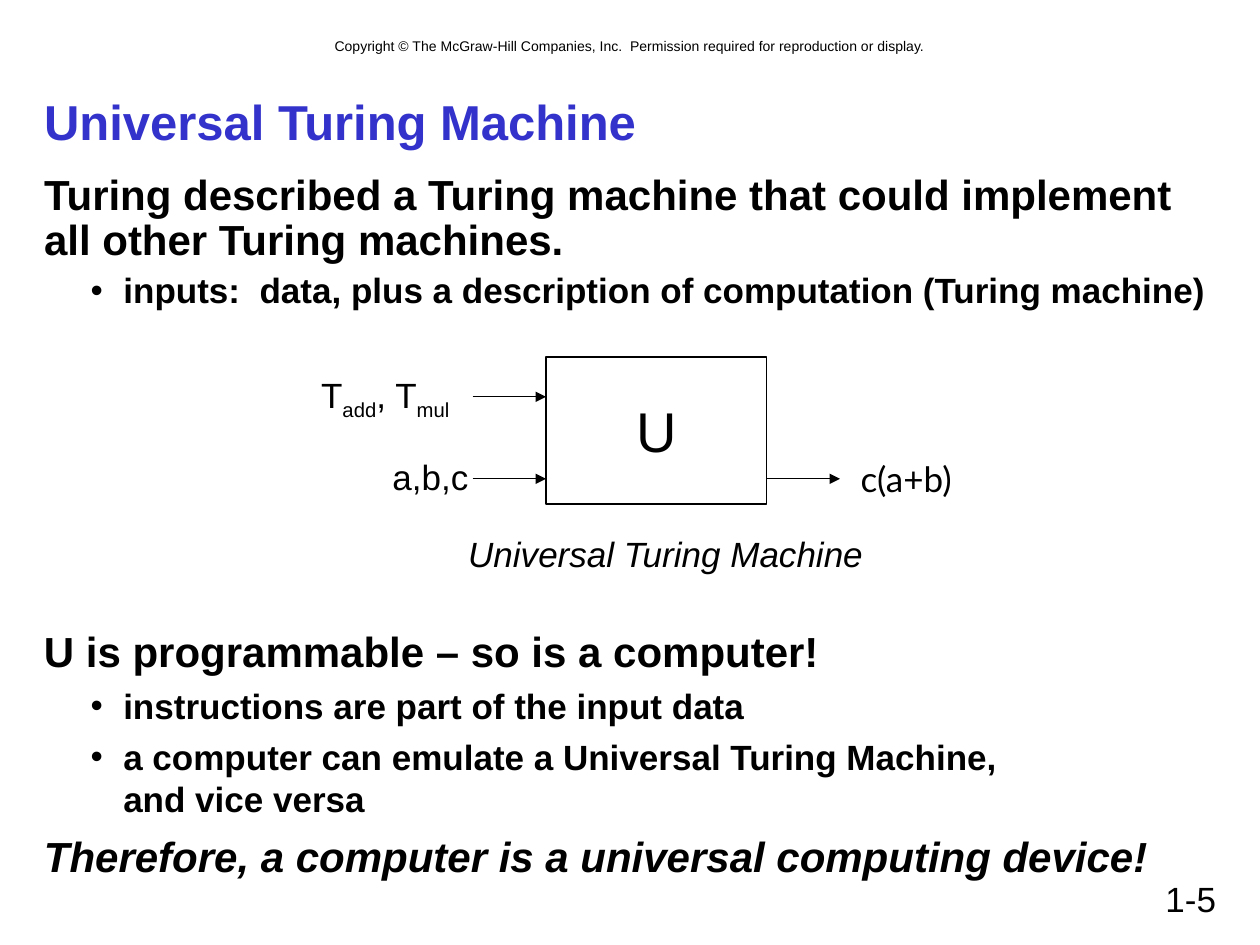
from copy import deepcopy
from dataclasses import dataclass

from lxml.etree import SubElement
from pptx import Presentation
from pptx.dml.color import RGBColor
from pptx.enum.shapes import MSO_CONNECTOR, MSO_SHAPE
from pptx.enum.text import MSO_ANCHOR, MSO_AUTO_SIZE, PP_ALIGN
from pptx.oxml.ns import qn
from pptx.util import Inches, Pt


@dataclass(frozen=True)
class Theme:
    """Colours, fonts and type sizes of the slide."""
    ink: RGBColor = RGBColor(0x00, 0x00, 0x00)
    accent: RGBColor = RGBColor(0x33, 0x33, 0xCC)
    font: str = "Arial"
    result_font: str = "Lato"
    title: int = 28
    heading: int = 24
    symbol: int = 32
    label: int = 20
    small: int = 8
    line: float = 0.75


THEME = Theme()
WIDTH, HEIGHT = 10, 7.5
COLUMNS = 120
CELL = WIDTH / COLUMNS


def grid(*cells):
    """Turn counts of square grid cells into lengths."""
    return [Inches(cell * CELL) for cell in cells]


def place(shape, box):
    """Move a shape to a box given in grid cells."""
    shape.left, shape.top, shape.width, shape.height = grid(*box)


def add_run(paragraph, text, size, bold=False, italic=False,
            color=THEME.ink, font=THEME.font):
    """Add one formatted run to a paragraph."""
    run = paragraph.add_run()
    run.text = text
    run.font.size = Pt(size)
    run.font.bold = bold
    run.font.italic = italic
    run.font.name = font
    run.font.color.rgb = color
    return run


def add_lines(paragraph, lines, size, **style):
    """Add runs parted by line breaks of the same type size."""
    for index, line in enumerate(lines):
        if index:
            paragraph.add_line_break()
        run = add_run(paragraph, line, size, **style)
    for line_break in paragraph._p.findall(qn("a:br")):
        line_break.insert(0, deepcopy(run.font._rPr))


def set_bullet(paragraph, bulleted):
    """Give a paragraph a hanging bullet, or none."""
    properties = paragraph._p.get_or_add_pPr()
    properties.set("marL", str(Inches(0.63 if bulleted else 0)))
    properties.set("indent", str(Inches(-0.26 if bulleted else 0)))
    if bulleted:
        paragraph.level = 1
        SubElement(properties, qn("a:buFont"), typeface=THEME.font)
        SubElement(properties, qn("a:buChar"), char="•")
    else:
        SubElement(properties, qn("a:buNone"))


def fill_outline(text_frame, items, spacing):
    """Write headings and bullets, each item as (bulleted, italic, lines)."""
    text_frame.word_wrap = True
    text_frame.auto_size = MSO_AUTO_SIZE.NONE
    for index, (bulleted, italic, lines) in enumerate(items):
        paragraph = text_frame.add_paragraph() if index else text_frame.paragraphs[0]
        set_bullet(paragraph, bulleted)
        paragraph.line_spacing = spacing
        paragraph.space_before = Pt((5 if bulleted else 6) if index else 0)
        size = THEME.label if bulleted else THEME.heading
        add_lines(paragraph, lines, size, bold=True, italic=italic)


def add_text(slide, box, alignment, wrap=True):
    """Add a text box and return its first paragraph."""
    text_frame = slide.shapes.add_textbox(*grid(*box)).text_frame
    text_frame.word_wrap = wrap
    paragraph = text_frame.paragraphs[0]
    paragraph.alignment = alignment
    return paragraph


def add_title(slide, box):
    """Fill the title placeholder."""
    title = slide.shapes.title
    place(title, box)
    text_frame = title.text_frame
    text_frame.auto_size = MSO_AUTO_SIZE.NONE
    text_frame.vertical_anchor = MSO_ANCHOR.MIDDLE
    paragraph = text_frame.paragraphs[0]
    paragraph.alignment = PP_ALIGN.LEFT
    add_run(paragraph, "Universal Turing Machine", THEME.title,
            bold=True, color=THEME.accent)


def add_premise(slide, box):
    """Fill the body placeholder above the diagram."""
    body = slide.placeholders[1]
    place(body, box)
    fill_outline(body.text_frame, [
        (False, False, ["Turing described a Turing machine that could implement",
                        "all other Turing machines."]),
        (True, False, ["inputs:  data, plus a description of computation (Turing machine)"]),
    ], 0.9)


def add_conclusion(slide, box):
    """Add the outline below the diagram."""
    text_frame = slide.shapes.add_textbox(*grid(*box)).text_frame
    fill_outline(text_frame, [
        (False, False, ["U is programmable – so is a computer!"]),
        (True, False, ["instructions are part of the input data"]),
        (True, False, ["a computer can emulate a Universal Turing Machine,", "and vice versa"]),
        (False, True, ["Therefore, a computer is a universal computing device!"]),
    ], 1.0)


def add_arrow(slide, left, top, length):
    """Add a horizontal arrow pointing right."""
    arrow = slide.shapes.add_connector(
        MSO_CONNECTOR.STRAIGHT, *grid(left, top, left + length, top))
    arrow.line.color.rgb = THEME.ink
    arrow.line.width = Pt(THEME.line)
    SubElement(arrow.line._get_or_add_ln(), qn("a:tailEnd"), type="triangle")
    SubElement(arrow._element.spPr, qn("a:effectLst"))


def add_diagram(slide, box):
    """Draw machine U with its inputs, its output and a caption."""
    left, top, width, height = box
    machine_left, machine_width, machine_height = left + 23, width / 3, height * 2 / 3
    arrow_length = width / 9
    upper, lower = top + 3.8, top + 11.6

    machine = slide.shapes.add_shape(
        MSO_SHAPE.RECTANGLE, *grid(machine_left, top, machine_width, machine_height))
    machine.shadow.inherit = False
    machine.fill.background()
    machine.line.color.rgb = THEME.ink
    machine.line.width = Pt(THEME.line)
    machine.text_frame.vertical_anchor = MSO_ANCHOR.MIDDLE
    paragraph = machine.text_frame.paragraphs[0]
    paragraph.alignment = PP_ALIGN.CENTER
    add_run(paragraph, "U", THEME.symbol)

    for arrow_left, row in [(machine_left - arrow_length, upper),
                            (machine_left - arrow_length, lower),
                            (machine_left + machine_width, lower)]:
        add_arrow(slide, arrow_left, row, arrow_length)

    for text, label_left, label_top, label_width, style in [
        ("a,b,c", left + 7.2, lower - 2.8, 9.6, {}),
        ("c(a+b)", left + 51.4, lower - 2.6, 11.8, {"font": THEME.result_font}),
        ("Universal Turing Machine", left + 14.3, top + 16.1, 40.2, {"italic": True}),
    ]:
        label = add_text(slide, (label_left, label_top, label_width, 5.3),
                         PP_ALIGN.CENTER, wrap=False)
        add_run(label, text, THEME.label, **style)

    programs = add_text(slide, (left + 0.4, upper - 2.8, 14.6, 5.8),
                        PP_ALIGN.CENTER, wrap=False)
    for text, lowered in [("T", False), ("add", True), (", T", False), ("mul", True)]:
        run = add_run(programs, text, THEME.label)
        if lowered:
            run.font._rPr.set("baseline", "-25000")


def add_margins(slide, header_box, number_box):
    """Add the copyright line and the page number."""
    header = add_text(slide, header_box, PP_ALIGN.CENTER)
    add_run(header, "Copyright © The McGraw-Hill Companies, Inc.  "
            "Permission required for reproduction or display.", THEME.small)
    number = add_text(slide, number_box, PP_ALIGN.RIGHT)
    add_run(number, "1-5", THEME.label)


def main():
    """Build and save the presentation."""
    presentation = Presentation()
    presentation.slide_width, presentation.slide_height = Inches(WIDTH), Inches(HEIGHT)
    slide = presentation.slides.add_slide(presentation.slide_layouts[1])
    add_margins(slide, (8, 3, 104, 3), (86, 83, 31, 5))
    add_title(slide, (3, 8, 114, 7))
    add_premise(slide, (3, 16, 114, 23))
    add_diagram(slide, (29, 34, 63, 21))
    add_conclusion(slide, (3, 59, 111, 20))
    presentation.save("out.pptx")


if __name__ == "__main__":
    main()
